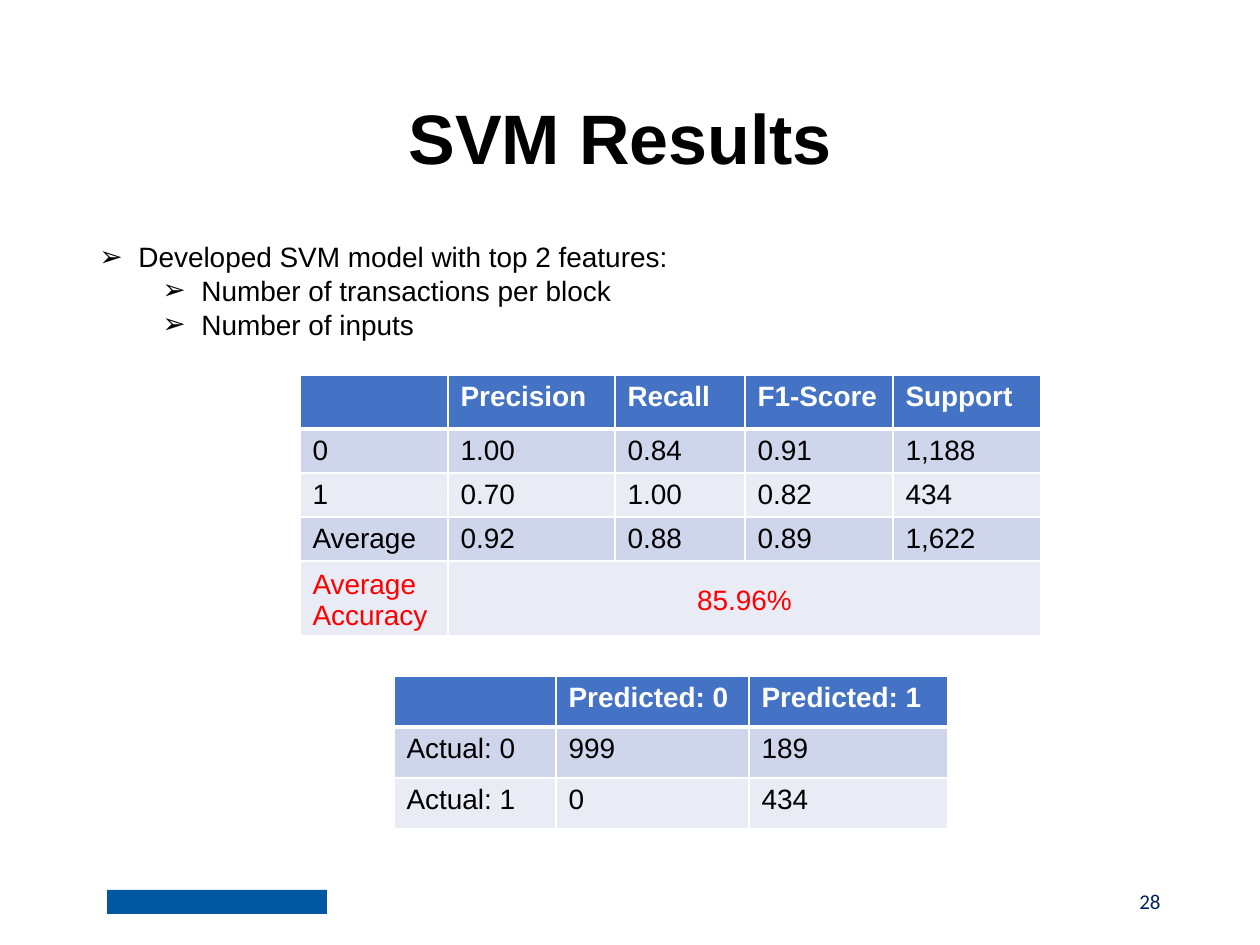
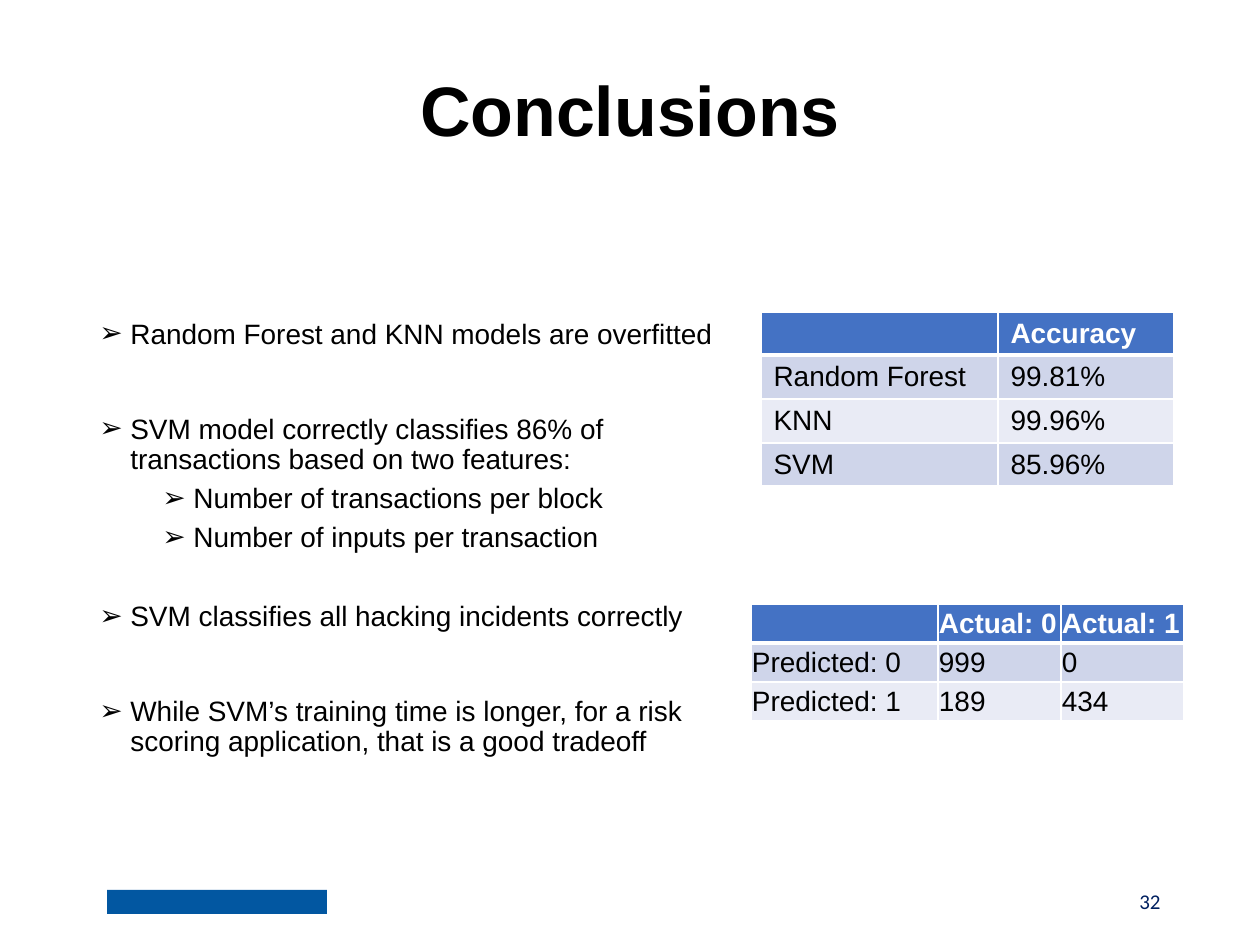
from lxml import etree
from pptx import Presentation
from pptx.dml.color import RGBColor
from pptx.enum.shapes import MSO_SHAPE
from pptx.enum.text import MSO_ANCHOR, MSO_AUTO_SIZE, PP_ALIGN
from pptx.oxml.ns import qn
from pptx.util import Emu, Pt

LEFT, MID, RIGHT = PP_ALIGN.LEFT, PP_ALIGN.CENTER, PP_ALIGN.RIGHT
TOP, HALF = MSO_ANCHOR.TOP, MSO_ANCHOR.MIDDLE
FIXED = MSO_AUTO_SIZE.NONE
RECT = MSO_SHAPE.RECTANGLE
SCALE = 914400 / 126
HUES = {
    "black": "000000", "white": "FFFFFF", "head": "4472C4",
    "dark": "CFD5EA", "light": "E9EBF5", "red": "FF0000",
    "badge": "0257A1", "page": "002060",
}
LOOSE = {"margin_top": 6, "margin_bottom": 2}
TIGHT = {"margin_left": 1, "margin_right": 1, "margin_top": 1, "margin_bottom": 1}

SLIDES = [
    {
        "title": "SVM Results ", "top": 50, "page": "28",
        "box": (87, 233, 1037, 115), "inset": 7, "hang": 39, "lead": 1.0,
        "points": [
            (0, 0, "Developed SVM model with top 2 features:"),
            (1, 0, "Number of transactions per block"),
            (1, 0, "Number of inputs"),
        ],
        "grids": [
            {
                "at": (300, 375), "cols": [148, 167, 130, 148, 148],
                "rows": [54, 44, 44, 44, 74], "tight": False, "sum": True,
                "cells": [
                    ["", "Precision", "Recall", "F1-Score", "Support"],
                    ["0", "1.00", "0.84", "0.91", "1,188"],
                    ["1", "0.70", "1.00", "0.82", "434"],
                    ["Average", "0.92", "0.88", "0.89", "1,622"],
                    ["Average Accuracy", "85.96%", "", "", ""],
                ],
            },
            {
                "at": (394, 676), "cols": [162, 193, 199],
                "rows": [51, 51, 51], "tight": False, "sum": False,
                "cells": [
                    ["", "Predicted: 0", "Predicted: 1"],
                    ["Actual: 0", "999", "189"],
                    ["Actual: 1", "0", "434"],
                ],
            },
        ],
    },
    {
        "title": "Conclusions", "top": 22, "page": "32",
        "box": (87, 258, 664, 525), "inset": 62, "hang": 31, "lead": 0.9,
        "points": [
            (0, 0, "Random Forest and KNN models are overfitted"),
            (0, 37, "SVM model correctly classifies 86% of transactions "
                    "based on two features:"),
            (1, 5, "Number of transactions per block"),
            (1, 5, "Number of inputs per transaction"),
            (0, 28, "SVM classifies all hacking incidents correctly"),
            (0, 37, "While SVM’s training time is longer, for a risk "
                    "scoring application, that is a good tradeoff"),
        ],
        "grids": [
            {
                "at": (761, 312), "cols": [237, 176],
                "rows": [43, 44, 44, 43], "tight": False, "sum": False,
                "cells": [
                    ["", "Accuracy"],
                    ["Random Forest", "99.81%"],
                    ["KNN", "99.96%"],
                    ["SVM", "85.96%"],
                ],
            },
            {
                "at": (751, 604), "cols": [187, 123, 123],
                "rows": [39, 39, 39], "tight": True, "sum": False,
                "cells": [
                    ["", "Actual: 0", "Actual: 1"],
                    ["Predicted: 0", "999", "0"],
                    ["Predicted: 1", "189", "434"],
                ],
            },
        ],
    },
]


def px(*nums):
    return [Emu(round(n * SCALE)) for n in nums]


def write(para, text, hue, size=16, face="Arial", bold=False):
    run = para.add_run()
    run.text = text
    look = {"size": Pt(size), "name": face, "bold": bold}
    for key, val in look.items():
        setattr(run.font, key, val)
    run.font.color.rgb = RGBColor.from_string(HUES[hue])


deck = Presentation()
deck.slide_width, deck.slide_height = px(1260, 945)

for data in SLIDES:
    slide = deck.slides.add_slide(deck.slide_layouts[5])
    shapes = slide.shapes

    title = shapes.title
    title.left, title.top, title.width, title.height = px(87, data["top"], 1086, 183)
    frame = title.text_frame
    frame.auto_size, frame.vertical_anchor = FIXED, HALF
    para = frame.paragraphs[0]
    para.alignment, para.line_spacing = MID, 0.9
    write(para, data["title"], "black", 40, bold=True)

    badge = shapes.add_shape(RECT, *px(107, 890, 220, 24))
    badge.shadow.inherit = False
    badge.fill.solid()
    badge.fill.fore_color.rgb = RGBColor.from_string(HUES["badge"])
    badge.line.fill.background()

    page = shapes.add_textbox(*px(890, 876, 283, 50)).text_frame
    page.word_wrap, page.vertical_anchor = True, HALF
    para = page.paragraphs[0]
    para.alignment = RIGHT
    write(para, data["page"], "page", 12, "Calibri")

    body = shapes.add_textbox(*px(*data["box"])).text_frame
    body.word_wrap = True
    body.margin_top = px(data["inset"])[0]
    for num, (level, gap, text) in enumerate(data["points"]):
        para = body.add_paragraph() if num else body.paragraphs[0]
        para.level = level
        props = para._p.get_or_add_pPr()
        start, hang = px(data["hang"] + 63 * level, data["hang"])
        props.set("marL", str(start))
        props.set("indent", str(-hang))
        etree.SubElement(props, qn("a:buFont")).set("typeface", "Arial")
        etree.SubElement(props, qn("a:buChar")).set("char", "➢")
        para.line_spacing = data["lead"]
        para.space_before = Pt(gap)
        write(para, text, "black")

    for grid in data["grids"]:
        cols, rows, cells = grid["cols"], grid["rows"], grid["cells"]
        size = px(*grid["at"], sum(cols), sum(rows))
        table = shapes.add_table(len(rows), len(cols), *size).table
        for col, wide in zip(table.columns, px(*cols)):
            col.width = wide
        for row, high in zip(table.rows, px(*rows)):
            row.height = high
        last = len(rows) - 1 if grid["sum"] else None
        if last:
            table.cell(last, 1).merge(table.cell(last, len(cols) - 1))
        for r, line in enumerate(cells):
            fill = "head" if r == 0 else "dark" if r % 2 else "light"
            hue = "white" if r == 0 else "red" if r == last else "black"
            for c, text in enumerate(line):
                cell = table.cell(r, c)
                cell.fill.solid()
                cell.fill.fore_color.rgb = RGBColor.from_string(HUES[fill])
                cell.vertical_anchor = HALF if grid["tight"] or r == last else TOP
                for key, val in (TIGHT if grid["tight"] else LOOSE).items():
                    setattr(cell, key, px(val)[0])
                para = cell.text_frame.paragraphs[0]
                para.alignment = MID if r == last and c else LEFT
                if text:
                    write(para, text, hue, bold=r == 0)
                else:
                    para._p.get_or_add_endParaRPr().set("sz", "1600")
                props = cell._tc.get_or_add_tcPr()
                for spot, side in enumerate("LRTB"):
                    thick = (r, side) in ((0, "B"), (1, "T"))
                    edge = etree.Element(qn("a:ln" + side), w=str(Pt(3 if thick else 1)))
                    paint = etree.SubElement(edge, qn("a:solidFill"))
                    etree.SubElement(paint, qn("a:srgbClr")).set("val", HUES["white"])
                    props.insert(spot, edge)

deck.save("out.pptx")
